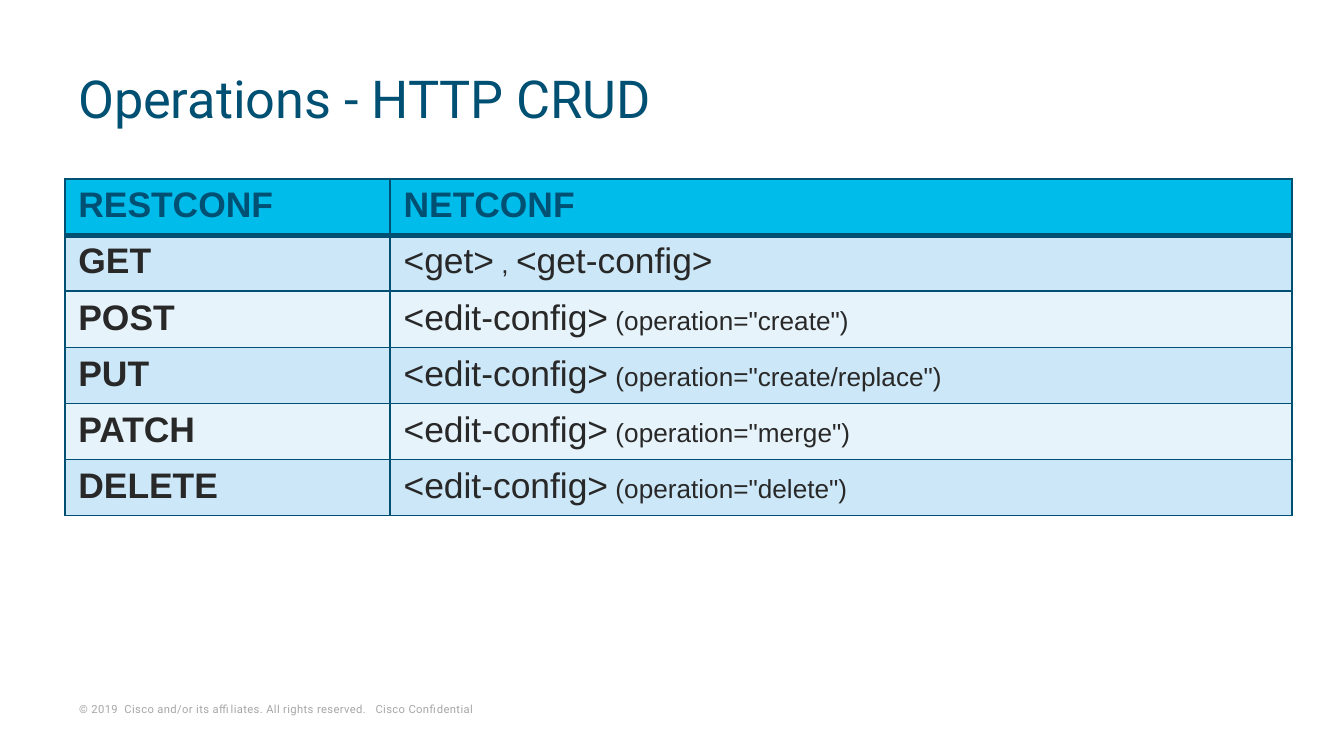
from lxml import etree
from pptx import Presentation
from pptx.dml.color import RGBColor
from pptx.enum.text import MSO_ANCHOR
from pptx.oxml.ns import qn
from pptx.util import Pt

TOP, MIDDLE, BOTTOM = MSO_ANCHOR.TOP, MSO_ANCHOR.MIDDLE, MSO_ANCHOR.BOTTOM

# Content
TITLE = "Operations - HTTP CRUD"
COPYRIGHT = "© 2019  Cisco and/or its affiliates. All rights reserved.   Cisco Confidential"
HEADER = ("RESTCONF", "NETCONF")
# Each method with its parts: (text, size name)
OPERATIONS = [
    ("GET", [("<get>", "cell"), (" , ", "detail"), ("<get-config>", "cell")]),
]
EDITS = [("POST", "create"), ("PUT", "create/replace"), ("PATCH", "merge"), ("DELETE", "delete")]
OPERATIONS += [
    (method, [("<edit-config>", "cell"), (f' (operation="{operation}")', "detail")])
    for method, operation in EDITS
]

THEME = {
    "heading_font": "Roboto", "body_font": "Arial",
    "navy": "005073", "cyan": "00BCEB", "ink": "282828", "grey": "A6A6A6",
    "bands": ("CCE7F7", "E7F3FB"),
    "title": 28, "cell": 19, "detail": 14, "footer": 6,
    "border": 1, "header_border": 3,
}

# Layout in points
SLIDE_WIDTH, SLIDE_HEIGHT = 720, 405
LEFT, WIDTH = 34.8, 657.36
TABLE_TOP, ROW_HEIGHT = 96, 30
METHOD_WIDTH = 174.24


def add_text(paragraph, text, *, size, color, font, bold=False, spacing=None):
    run = paragraph.add_run()
    run.text = text
    run.font.size = Pt(size)
    run.font.name = font
    run.font.bold = bold
    run.font.color.rgb = RGBColor.from_string(color)
    if spacing is not None:
        run._r.get_or_add_rPr().set("spc", str(round(spacing * 100)))


def add_box(slide, left, top, width, height, anchor, inset_x, inset_y):
    frame = slide.shapes.add_textbox(Pt(left), Pt(top), Pt(width), Pt(height)).text_frame
    frame.word_wrap = True
    frame.vertical_anchor = anchor
    frame.margin_left = frame.margin_right = Pt(inset_x)
    frame.margin_top = frame.margin_bottom = Pt(inset_y)
    return frame.paragraphs[0]


def style_cell(cell, fill, top, bottom):
    properties = cell._tc.get_or_add_tcPr()
    sides = {"L": THEME["border"], "R": THEME["border"], "T": top, "B": bottom}
    for side, width in sides.items():
        line = etree.SubElement(properties, qn(f"a:ln{side}"), w=str(Pt(width)))
        solid = etree.SubElement(line, qn("a:solidFill"))
        etree.SubElement(solid, qn("a:srgbClr"), val=THEME["navy"])
    cell.fill.solid()
    cell.fill.fore_color.rgb = RGBColor.from_string(fill)
    cell.vertical_anchor = TOP


def add_operations_table(slide):
    row_count = len(OPERATIONS) + 1
    table = slide.shapes.add_table(
        row_count, len(HEADER), Pt(LEFT), Pt(TABLE_TOP), Pt(WIDTH), Pt(ROW_HEIGHT * row_count)
    ).table
    table.first_row = table.horz_banding = False
    table.columns[0].width = Pt(METHOD_WIDTH)
    table.columns[1].width = Pt(WIDTH - METHOD_WIDTH)

    rows = [[[(label, "cell")] for label in HEADER]]
    rows += [[[(method, "cell")], parts] for method, parts in OPERATIONS]
    thin, thick = THEME["border"], THEME["header_border"]
    for row, cells in enumerate(rows):
        is_header = row == 0
        table.rows[row].height = Pt(ROW_HEIGHT)
        fill = THEME["cyan"] if is_header else THEME["bands"][(row - 1) % 2]
        for column, parts in enumerate(cells):
            cell = table.cell(row, column)
            style_cell(cell, fill, thick if row == 1 else thin, thick if is_header else thin)
            for text, size in parts:
                add_text(
                    cell.text_frame.paragraphs[0], text,
                    size=THEME[size], font=THEME["body_font"],
                    color=THEME["navy" if is_header else "ink"],
                    bold=is_header or column == 0,
                )


def main():
    presentation = Presentation()
    presentation.slide_width, presentation.slide_height = Pt(SLIDE_WIDTH), Pt(SLIDE_HEIGHT)
    slide = presentation.slides.add_slide(presentation.slide_layouts[6])

    # Copyright line
    footer = add_box(slide, 37.44, 373.7, 267.84, 12.24, BOTTOM, 5, 2.2)
    add_text(footer, COPYRIGHT, size=THEME["footer"], color=THEME["grey"],
             font=THEME["heading_font"], spacing=0.2)

    # Title
    title = add_box(slide, LEFT, 26.64, WIDTH, 57.6, MIDDLE, 7.2, 3.6)
    title.line_spacing = 0.8
    add_text(title, TITLE, size=THEME["title"], color=THEME["navy"], font=THEME["heading_font"])

    # Table of operations
    add_operations_table(slide)

    presentation.save("out.pptx")


if __name__ == "__main__":
    main()
